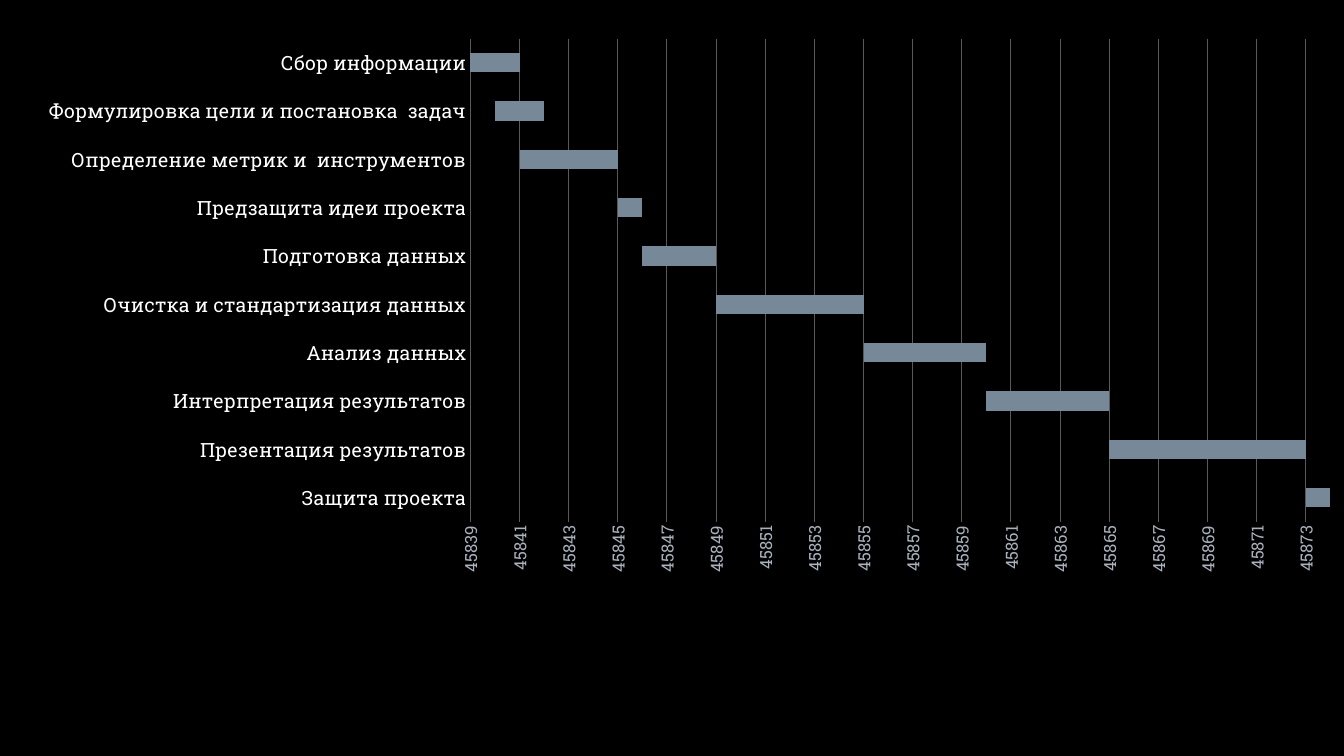
"""Build a slide with a Gantt chart of project stages."""
from lxml.etree import SubElement
from pptx import Presentation
from pptx.chart.data import CategoryChartData
from pptx.dml.color import RGBColor
from pptx.enum.chart import XL_CHART_TYPE, XL_TICK_MARK
from pptx.oxml import parse_xml
from pptx.oxml.ns import nsdecls, qn
from pptx.util import Pt

PX = 914400 / 100.8
FONT = "Roboto Slab"
BLACK = RGBColor(0x00, 0x00, 0x00)
WHITE = RGBColor(0xFF, 0xFF, 0xFF)
GRID = RGBColor(0x59, 0x59, 0x59)
DATES = RGBColor(0xA8, 0xB1, 0xBC)
BAR = RGBColor(0x77, 0x88, 0x99)

STAGES = [
    ("Сбор информации", 45839, 2),
    ("Формулировка цели и постановка  задач", 45840, 2),
    ("Определение метрик и  инструментов", 45841, 4),
    ("Предзащита идеи проекта", 45845, 1),
    ("Подготовка данных", 45846, 3),
    ("Очистка и стандартизация данных", 45849, 6),
    ("Анализ данных", 45855, 5),
    ("Интерпретация результатов", 45860, 5),
    ("Презентация результатов", 45865, 8),
    ("Защита проекта", 45873, 1),
]
PLOT = {"x": 0.35, "y": 0.02, "w": 0.64, "h": 0.66}


def px(n):
    return round(n * PX)


def set_font(font, size, color):
    font.name = FONT
    font.size = Pt(size)
    font.bold = False
    font.color.rgb = color


prs = Presentation()
prs.slide_width, prs.slide_height = px(1344), px(756)
s = prs.slides.add_slide(prs.slide_layouts[6])
s.background.fill.solid()
s.background.fill.fore_color.rgb = BLACK

names, starts, days = zip(*reversed(STAGES))
data = CategoryChartData()
data.categories = names
data.add_series("Series 1", starts)
data.add_series("Series 2", days)
chart = s.shapes.add_chart(
    XL_CHART_TYPE.BAR_STACKED, 0, px(24), px(1344), px(732), data
).chart
chart.has_legend = False
chart.has_title = False
set_font(chart.font, 14, WHITE)

plot = chart.plots[0]
plot.gap_width = 150
plot.overlap = 100
plot.vary_by_categories = False
start_series, day_series = plot.series
start_series.format.fill.background()
start_series.format.line.fill.background()
day_series.format.fill.solid()
day_series.format.fill.fore_color.rgb = BAR

stage_axis, date_axis = chart.category_axis, chart.value_axis
for axis, size, color in ((stage_axis, 14, WHITE), (date_axis, 12, DATES)):
    axis.major_tick_mark = XL_TICK_MARK.NONE
    axis.minor_tick_mark = XL_TICK_MARK.NONE
    set_font(axis.tick_labels.font, size, color)

date_axis.minimum_scale = 45839
date_axis.maximum_scale = 45874
date_axis.major_unit = 2
date_axis.has_major_gridlines = True
date_axis.tick_labels.number_format = "0"
date_axis.tick_labels.number_format_is_linked = False
date_axis.format.line.fill.background()
for line in (stage_axis.format.line, date_axis.major_gridlines.format.line):
    line.color.rgb = GRID
    line.width = Pt(0.75)

body = date_axis._element.find(qn("c:txPr")).find(qn("a:bodyPr"))
body.set("rot", "-5400000")
body.set("vert", "horz")

area = chart._chartSpace.chart.plotArea
for old in area.findall(qn("c:layout")):
    area.remove(old)
layout = parse_xml(f"<c:layout {nsdecls('c')}><c:manualLayout/></c:layout>")
settings = {"layoutTarget": "inner", "xMode": "edge", "yMode": "edge", **PLOT}
for tag, value in settings.items():
    SubElement(layout[0], qn(f"c:{tag}")).set("val", str(value))
area.insert(0, layout)

prs.save("out.pptx")
